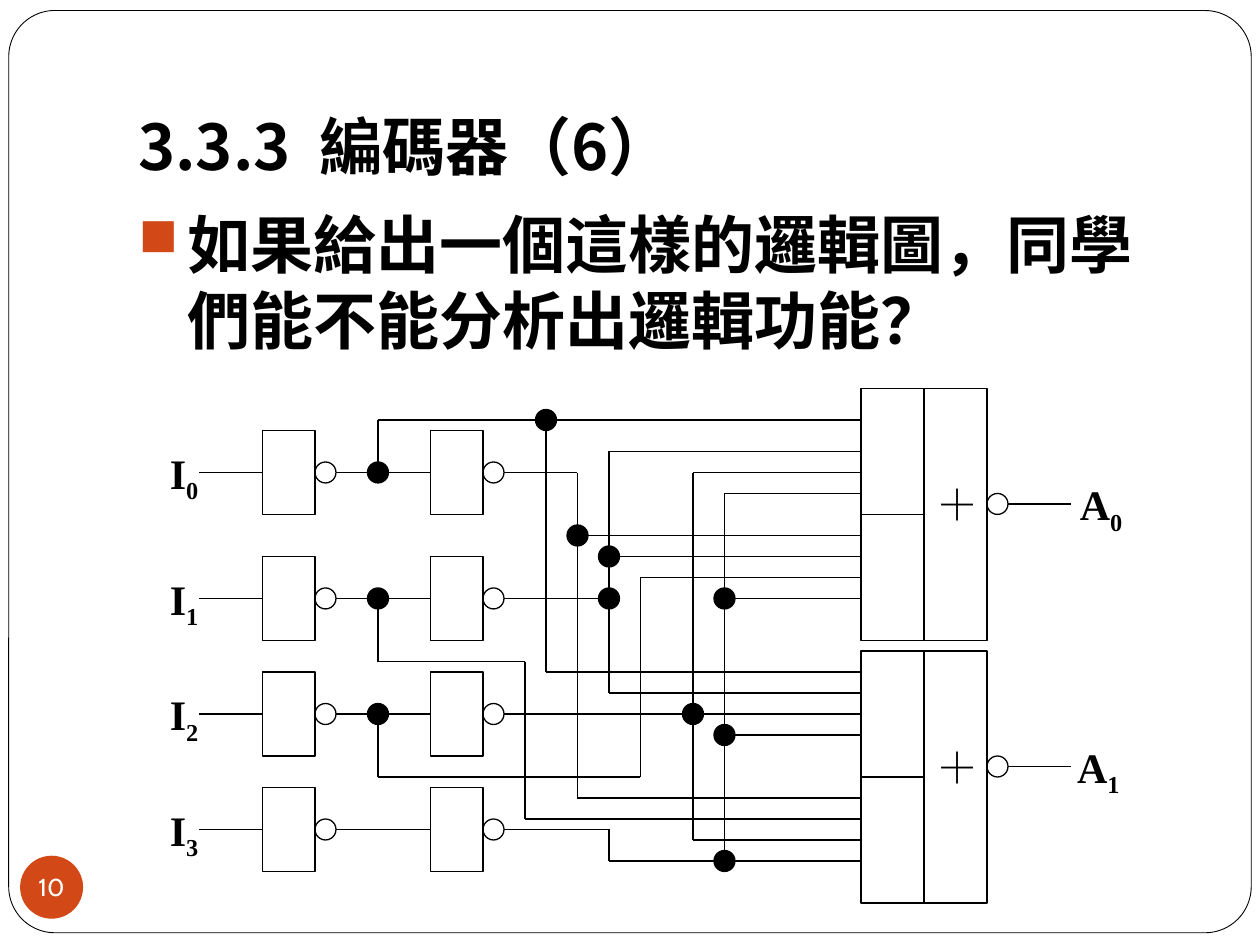
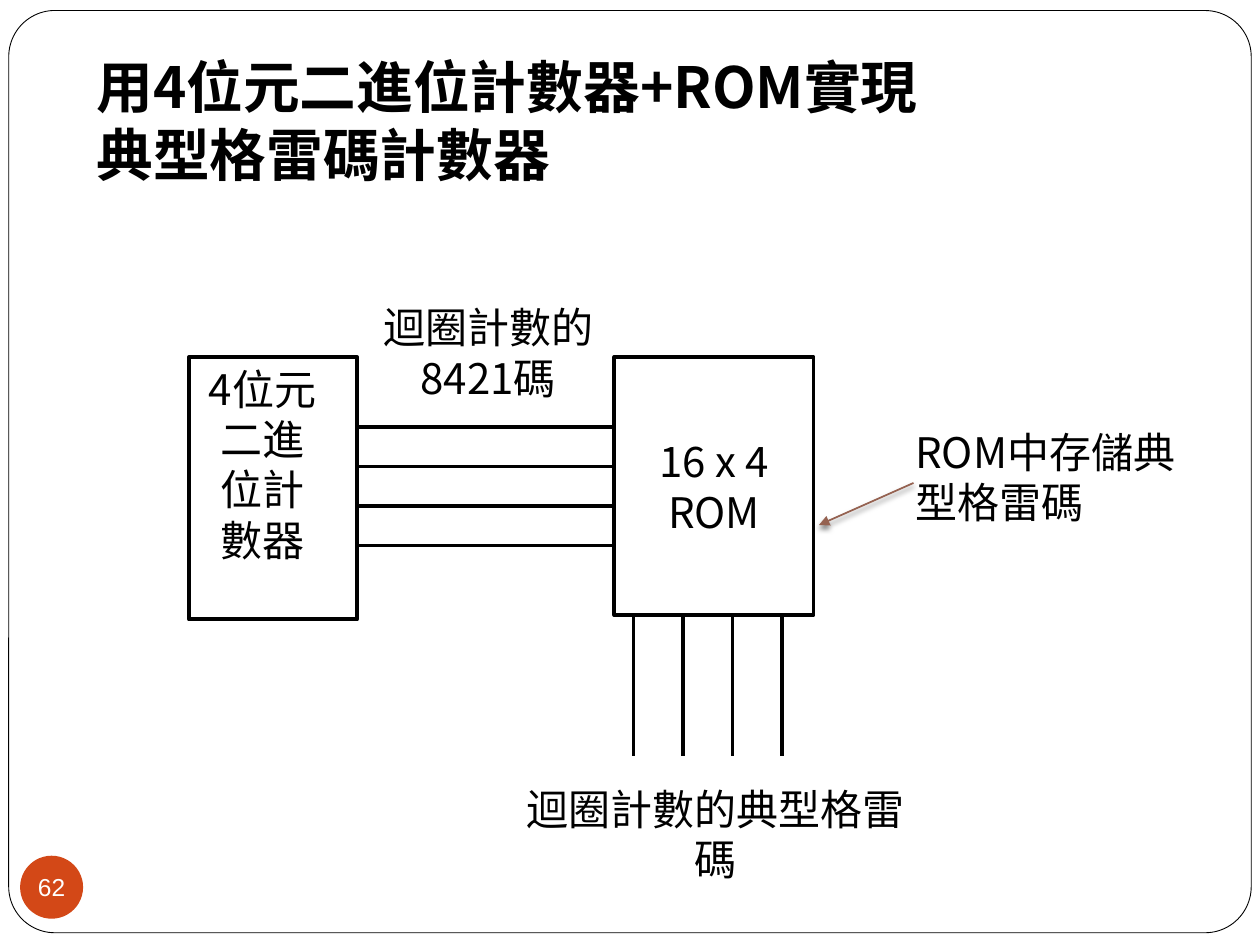
"""Build two slides on encoder logic and a Gray code counter."""
import dataclasses

import lxml.etree
import pptx
import pptx.dml.color
import pptx.enum.shapes
import pptx.enum.text
import pptx.oxml.ns
import pptx.util

Pt = pptx.util.Pt
Kind = pptx.enum.shapes.MSO_SHAPE
Align = pptx.enum.text.PP_ALIGN
Anchor = pptx.enum.text.MSO_ANCHOR
qn = pptx.oxml.ns.qn


@dataclasses.dataclass(frozen=True)
class Theme:
    ink: str = "000000"
    paper: str = "FFFFFF"
    accent: str = "D34817"
    arrow: str = "956251"
    sans: str = "Noto Sans CJK JP"
    serif: str = "Times New Roman"
    large: float = 36
    head: float = 32.4
    label: float = 24
    number: float = 14
    pitch: float = 1.2
    hair: float = 0.5
    thin: float = 0.75
    thick: float = 2
    heavy: float = 2.25


def color(code):
    return pptx.dml.color.RGBColor.from_string(code)


def child(parent, tag, **attrs):
    return lxml.etree.SubElement(parent, qn(tag), attrs)


class Deck:
    def __init__(self, theme):
        self.theme = theme
        self.file = pptx.Presentation()
        self.file.slide_width, self.file.slide_height = Pt(720), Pt(540)

    def page(self, number, font):
        self.slide = self.file.slides.add_slide(self.file.slide_layouts[6])
        self.ports = {}
        frame = self.shape(Kind.ROUNDED_RECTANGLE, 5, 6, 710, 527,
                           fill=self.theme.paper, weight=self.theme.hair)
        frame.adjustments[0] = 0.05
        badge = self.shape(Kind.OVAL, 11.5, 489, 36, 36,
                           fill=self.theme.accent, weight=None)
        self.label(badge, number, size=self.theme.number, font=font,
                   ink=self.theme.paper, align=Align.CENTER,
                   anchor=Anchor.MIDDLE, wrap=False, inset=0)

    def shape(self, kind, x, y, w, h, fill=None, weight=Theme.thin):
        item = self.slide.shapes.add_shape(kind, Pt(x), Pt(y), Pt(w), Pt(h))
        item.shadow.inherit = False
        if fill:
            item.fill.solid()
            item.fill.fore_color.rgb = color(fill)
        else:
            item.fill.background()
        if weight:
            item.line.color.rgb = color(self.theme.ink)
            item.line.width = Pt(weight)
        else:
            item.line.fill.background()
        return item

    def box(self, x, y, w, h, weight=Theme.thin):
        item = self.shape(Kind.RECTANGLE, x, y, w, h, weight=weight)
        self.ports[x, y + h / 2] = item
        return item

    def dot(self, x, y, fill=None):
        self.shape(Kind.OVAL, x - 6, y - 6, 12, 12, fill=fill)

    def line(self, start, end, weight=Theme.thin, ink=Theme.ink):
        item = self.slide.shapes.add_connector(
            pptx.enum.shapes.MSO_CONNECTOR.STRAIGHT,
            *(Pt(value) for value in (*start, *end)))
        item.line.color.rgb = color(ink)
        item.line.width = Pt(weight)
        child(item._element.spPr, "a:effectLst")
        if end in self.ports:
            item.end_connect(self.ports[end], 1)
        return item

    def wire(self, *points):
        for start, end in zip(points, points[1:]):
            self.line(start, end)

    def arrow(self, start, end):
        item = self.line(start, end, 1, self.theme.arrow)
        child(item.line._get_or_add_ln(), "a:tailEnd", type="triangle")
        glow = child(item._element.spPr.find(qn("a:effectLst")),
                     "a:outerShdw", blurRad=str(Pt(3)), dist=str(Pt(2)),
                     dir="5400000", rotWithShape="0")
        tint = child(glow, "a:srgbClr", val=self.theme.ink)
        child(tint, "a:alpha", val="50000")

    def text(self, words, x, y, w, h, **style):
        item = self.slide.shapes.add_textbox(Pt(x), Pt(y), Pt(w), Pt(h))
        self.label(item, words, **style)
        return item

    def label(self, item, words, size=Theme.label, font=Theme.sans,
              ink=Theme.ink, bold=False, align=Align.LEFT,
              anchor=Anchor.TOP, wrap=True, inset=None, sub=""):
        frame = item.text_frame
        frame.text = words
        frame.word_wrap = wrap
        frame.vertical_anchor = anchor
        if inset is not None:
            frame.margin_left = frame.margin_right = Pt(inset)
            frame.margin_top = frame.margin_bottom = Pt(inset)
        if sub:
            low = frame.paragraphs[0].add_run()
            low.text = sub
            low.font._element.set("baseline", "-25000")
        for part in frame.paragraphs:
            part.alignment = align
            if font == self.theme.sans:
                part.line_spacing = Pt(size * self.theme.pitch)
            for run in part.runs:
                run.font.size = Pt(size)
                run.font.bold = bold
                run.font.color.rgb = color(ink)
                run.font.name = font
                child(run.font._element, "a:ea", typeface=font)

    def title(self, words, x, y, w, h, size):
        item = self.text(words, x, y, w, h, size=size, bold=True,
                         anchor=Anchor.BOTTOM)
        item.text_frame.margin_bottom = Pt(7.2)

    def bullet(self, words, x, y, w, h):
        item = self.text(words, x, y, w, h, size=self.theme.large, bold=True)
        props = item.text_frame.paragraphs[0]._p.get_or_add_pPr()
        props.set("marL", str(Pt(28)))
        props.set("indent", str(-Pt(28)))
        tint = child(props, "a:buClr")
        child(tint, "a:srgbClr", val=self.theme.accent)
        child(props, "a:buSzPct", val="85000")
        child(props, "a:buChar", char="■")

    def name(self, letter, index, x, y, w, wrap=True):
        self.text(letter, x, y - 18, w, 36, font=self.theme.serif,
                  bold=True, wrap=wrap, sub=str(index))


def encoder(deck):
    theme = deck.theme
    deck.page("10", "Cabin")
    deck.title("3.3.3  編碼器（6）", 72, 21.6, 612, 90, theme.large)
    deck.bullet("如果給出一個這樣的邏輯圖，同學們能不能分析出邏輯功能？",
                72, 114, 612, 360)

    for index, y in enumerate((270, 342, 408, 474)):
        for x in (150, 246):
            deck.box(x, y - 24, 30, 48)
            deck.dot(x + 36, y)
        deck.wire((114, y), (150, y))
        deck.wire((192, y), (246, y))
        deck.name("I", index, 90, y, 36)

    for index, (top, left) in enumerate(((222, 610), (372, 608.4))):
        y = top + 66
        deck.box(528, top, 36, 144)
        deck.box(492, top, 36, 72)
        deck.box(492, top + 72, 36, 72)
        deck.text("＋", 528, y - 18, 36, 31, font=theme.serif)
        deck.dot(570, y)
        deck.wire((576, y), (612, y))
        deck.name("A", index, left, y, 40, wrap=False)

    routes = (
        ((216, 270), (216, 240), (492, 240)),
        ((312, 240), (312, 384), (492, 384)),
        ((288, 270), (330, 270), (330, 306), (492, 306)),
        ((330, 306), (330, 456), (492, 456)),
        ((288, 342), (348, 342), (348, 258), (492, 258)),
        ((348, 318), (492, 318)),
        ((348, 342), (348, 396), (492, 396)),
        ((216, 342), (216, 378), (300, 378), (300, 468), (492, 468)),
        ((288, 408), (396, 408), (492, 408)),
        ((396, 408), (396, 270), (492, 270)),
        ((396, 408), (396, 480), (492, 480)),
        ((216, 408), (216, 444), (366, 444), (366, 330), (492, 330)),
        ((288, 474), (348, 474), (348, 492), (492, 492)),
        ((414, 492), (414, 282), (492, 282)),
        ((414, 342), (492, 342)),
        ((414, 420), (492, 420)),
    )
    for route in routes:
        deck.wire(*route)
    nodes = ((216, 270), (216, 342), (216, 408), (312, 240), (330, 306),
             (348, 318), (348, 342), (396, 408), (414, 342), (414, 420),
             (414, 492))
    for x, y in nodes:
        deck.dot(x, y, theme.ink)


def counter(deck):
    theme = deck.theme
    deck.page("62", "Arial")
    deck.title("用4位元二進位計數器+ROM實現\v典型格雷碼計數器",
               48, 24, 642, 90.5, theme.head)

    rom = deck.box(351, 204, 114, 147.5, theme.thick)
    deck.label(rom, "16 x 4\nROM", align=Align.CENTER,
               anchor=Anchor.MIDDLE, wrap=False)
    deck.box(108, 204, 96, 150, theme.heavy)
    for step in range(4):
        y, x = 244 + 22.6 * step, 362 + 28.3 * step
        deck.line((204, y), (351, y), theme.thick)
        deck.line((x, 351.5), (x, 432), theme.thick)

    deck.text("4位元二進位計數器", 108, 204, 84, 124, align=Align.CENTER)
    deck.text("迴圈計數的8421碼", 204, 169, 150, 65.5, align=Align.CENTER)
    deck.text("迴圈計數的典型格雷碼", 282, 444, 254, 36,
              align=Align.CENTER, wrap=False)
    deck.text("ROM中存儲典型格雷碼", 516, 240, 174, 65.5)
    deck.arrow((522, 276), (468, 300))


def main():
    deck = Deck(Theme())
    encoder(deck)
    counter(deck)
    deck.file.save("out.pptx")


if __name__ == "__main__":
    main()
